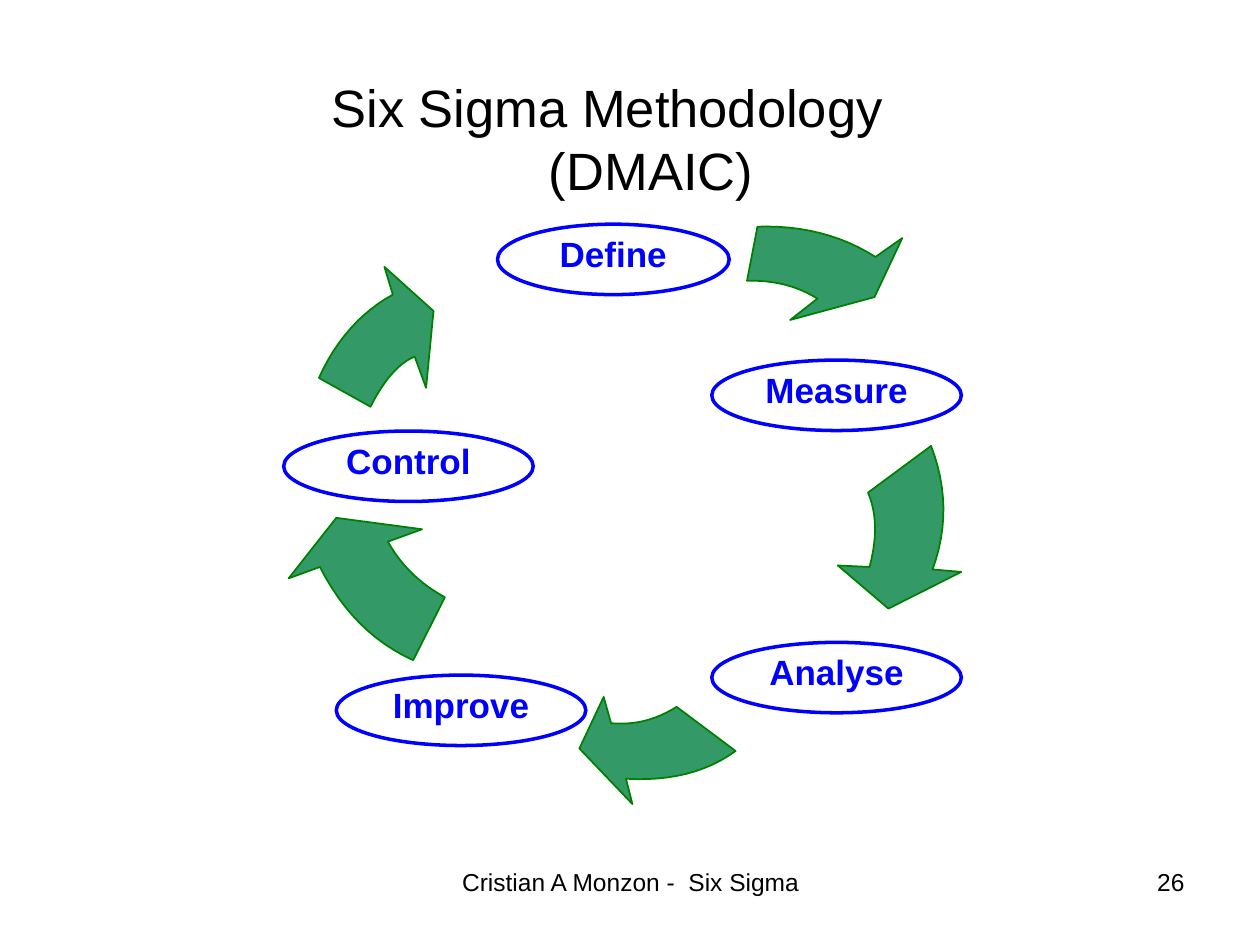
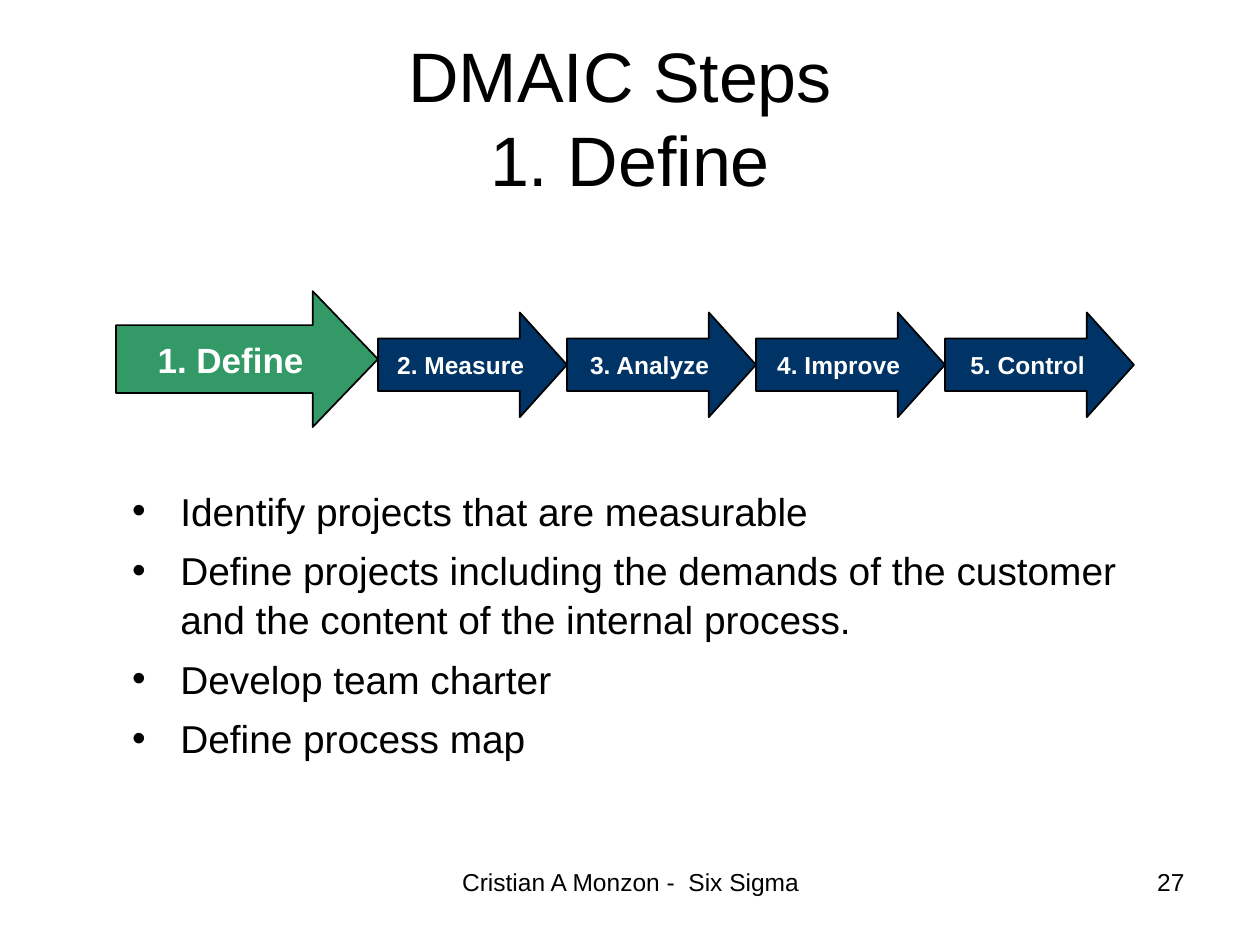
from collections import namedtuple

from pptx import Presentation
from pptx.dml.color import RGBColor
from pptx.enum import shapes, text
from pptx.util import Cm, Pt

BLACK = RGBColor(0x00, 0x00, 0x00)
WHITE = RGBColor(0xFF, 0xFF, 0xFF)
BLUE = RGBColor(0x00, 0x00, 0xFF)
NAVY = RGBColor(0x00, 0x33, 0x66)
GREEN = RGBColor(0x33, 0x99, 0x66)
DARK_GREEN = RGBColor(0x00, 0x80, 0x00)
FONT = "Arial"
FOOTER = "Cristian A Monzon -  Six Sigma"
HANGING = 0.97
TITLE_ONLY, TITLE_AND_BODY = 5, 1
CENTER, LEFT, RIGHT = text.PP_ALIGN.CENTER, text.PP_ALIGN.LEFT, text.PP_ALIGN.RIGHT
TOP, MIDDLE = text.MSO_ANCHOR.TOP, text.MSO_ANCHOR.MIDDLE

# All box measures are centimetres.
Box = namedtuple("Box", "left top width height")

PHASES = [  # label, left, top, width
    ("Define", 4.33, 0.32, 4.67),
    ("Measure", 8.65, 3.06, 5.03),
    ("Analyse", 8.65, 8.75, 5.03),
    ("Control", 0.02, 4.49, 5.03),
    ("Improve", 1.08, 9.41, 5.03),
]
PHASE_HEIGHT = 1.42

# Outer edge (start, middle, end), head (barb, tip, barb), inner edge (start, middle, end)
CYCLE_ARROWS = [
    ([(9.57, 0.37), (10.84, 0.5), (11.95, 0.98)],
     [(12.49, 0.6), (11.93, 1.79), (10.23, 2.25)],
     [(10.78, 1.82), (10.12, 1.54), (9.36, 1.46)]),
    ([(13.07, 4.79), (13.32, 6.04), (13.1, 7.28)],
     [(13.68, 7.33), (12.21, 8.07), (11.19, 7.2)],
     [(11.83, 7.23), (11.94, 6.42), (11.8, 5.73)]),
    ([(9.13, 10.94), (8.14, 11.4), (6.92, 11.5)],
     [(7.05, 12.01), (5.98, 10.89), (6.47, 9.85)],
     [(6.62, 10.38), (7.3, 10.33), (7.94, 10.05)]),
    ([(2.63, 9.11), (1.56, 8.37), (0.75, 7.23)],
     [(0.12, 7.46), (1.08, 6.24), (2.81, 6.47)],
     [(2.12, 6.72), (2.61, 7.36), (3.27, 7.84)]),
    ([(0.73, 3.42), (1.36, 2.43), (2.22, 1.74)],
     [(2.05, 1.18), (3.04, 2.07), (2.89, 3.62)],
     [(2.66, 2.99), (2.2, 3.34), (1.77, 4.0)]),
]

STEPS = ["1. Define", "2. Measure", "3. Analyze", "4. Improve", "5. Control"]
DEFINE_TASKS = [
    "Identify projects that are measurable",
    "Define projects including the demands of the customer"
    " and the content of the internal process.",
    "Develop team charter",
    "Define process map",
]


def write(holder, lines, size, color=BLACK, bold=False, align=CENTER, anchor=TOP,
          wrap=True, hanging=0, before=0, spacing=None):
    frame = holder.text_frame
    frame.text = "\n".join(lines)
    frame.auto_size = text.MSO_AUTO_SIZE.NONE
    frame.word_wrap = wrap
    frame.vertical_anchor = anchor
    for paragraph in frame.paragraphs:
        paragraph.alignment = align
        paragraph.space_before = Pt(before)
        paragraph.line_spacing = spacing
        properties = paragraph._p.get_or_add_pPr()
        properties.set("marL", str(Cm(hanging)))
        properties.set("indent", str(-Cm(hanging)))
        for run in paragraph.runs:
            font = run.font
            font.name, font.size, font.bold = FONT, Pt(size), bold
            font.color.rgb = color


def place(holder, box):
    holder.left, holder.top, holder.width, holder.height = map(Cm, box)


def paint(shape, fill, line, line_width):
    shape.shadow.inherit = False
    shape.fill.solid()
    shape.fill.fore_color.rgb = fill
    shape.line.color.rgb = line
    shape.line.width = Pt(line_width)


def add_preset(slide, preset, box, fill, line, line_width):
    shape = slide.shapes.add_shape(preset, *map(Cm, box))
    paint(shape, fill, line, line_width)
    return shape


def add_page(prs, layout, number, title, title_box, title_size, title_hanging=0):
    """Add a slide with its title, footer and page number."""
    slide = prs.slides.add_slide(prs.slide_layouts[layout])
    place(slide.shapes.title, title_box)
    write(slide.shapes.title, [title], title_size, anchor=MIDDLE, hanging=title_hanging)
    for label, box, align in [
        (FOOTER, Box(8.69, 17.35, 8.05, 1.32), CENTER),
        (str(number), Box(18.21, 17.35, 5.92, 1.32), RIGHT),
    ]:
        write(slide.shapes.add_textbox(*map(Cm, box)), [label], 14, align=align)
    return slide


def curve(start, middle, end, pieces=12):
    """Points of a parabola through three points."""
    def at(t):
        weights = (1 - t) * (1 - 2 * t), 4 * t * (1 - t), t * (2 * t - 1)
        return tuple(sum(w * c for w, c in zip(weights, axis))
                     for axis in zip(start, middle, end))
    return [at(i / pieces) for i in range(pieces + 1)]


def add_cycle(slide, box):
    for outer, head, inner in CYCLE_ARROWS:
        outline = [(Cm(box.left + x), Cm(box.top + y))
                   for x, y in curve(*outer) + head + curve(*inner)]
        builder = slide.shapes.build_freeform(*outline[0])
        builder.add_line_segments(outline[1:], close=True)
        paint(builder.convert_to_shape(), GREEN, DARK_GREEN, 1)
    for label, left, top, width in PHASES:
        phase_box = Box(box.left + left, box.top + top, width, PHASE_HEIGHT)
        phase = add_preset(slide, shapes.MSO_SHAPE.OVAL, phase_box, WHITE, BLUE, 2)
        write(phase, [label], 20, BLUE, bold=True, hanging=HANGING, before=5, spacing=0.8)


def add_step_arrows(slide, box, current=0):
    """Row of touching arrows, with the current step larger and green."""
    large_width, small_height, small_drop = 5.28, 2.11, 0.43
    small_width = (box.width - large_width) / (len(STEPS) - 1)
    left = box.left
    for index, label in enumerate(STEPS):
        if index == current:
            step_box = Box(left, box.top, large_width, box.height)
            fill, size, before, head = GREEN, 20, 5, 0.48
        else:
            step_box = Box(left, box.top + small_drop, small_width, small_height)
            fill, size, before, head = NAVY, 14, 3.5, 0.45
        step = add_preset(slide, shapes.MSO_SHAPE.RIGHT_ARROW, step_box, fill, BLACK, 1)
        step.adjustments[1] = head
        write(step, [label], size, WHITE, bold=True, anchor=MIDDLE, wrap=False,
              hanging=HANGING, before=before)
        left += step_box.width


def add_tasks(slide, box):
    tasks = slide.placeholders[1]
    place(tasks, box)
    write(tasks, DEFINE_TASKS, 22.2, align=LEFT, hanging=HANGING, before=6, spacing=1.05)


def main():
    prs = Presentation()
    prs.slide_width, prs.slide_height = Cm(25.4), Cm(19.05)

    methodology = add_page(prs, TITLE_ONLY, 26, "Six Sigma Methodology \v(DMAIC)",
                           Box(0.64, 0.84, 23.5, 3.89), 30, title_hanging=1.47)
    add_cycle(methodology, Box(5.7, 4.2, 13.7, 12.1))

    define = add_page(prs, TITLE_AND_BODY, 27, "DMAIC Steps \v1. Define",
                      Box(1.27, 0.76, 22.86, 3.18), 40)
    add_tasks(define, Box(2.41, 9.65, 20.6, 5.69))
    add_step_arrows(define, Box(2.34, 5.87, 20.52, 2.74))

    prs.save("out.pptx")


if __name__ == "__main__":
    main()
